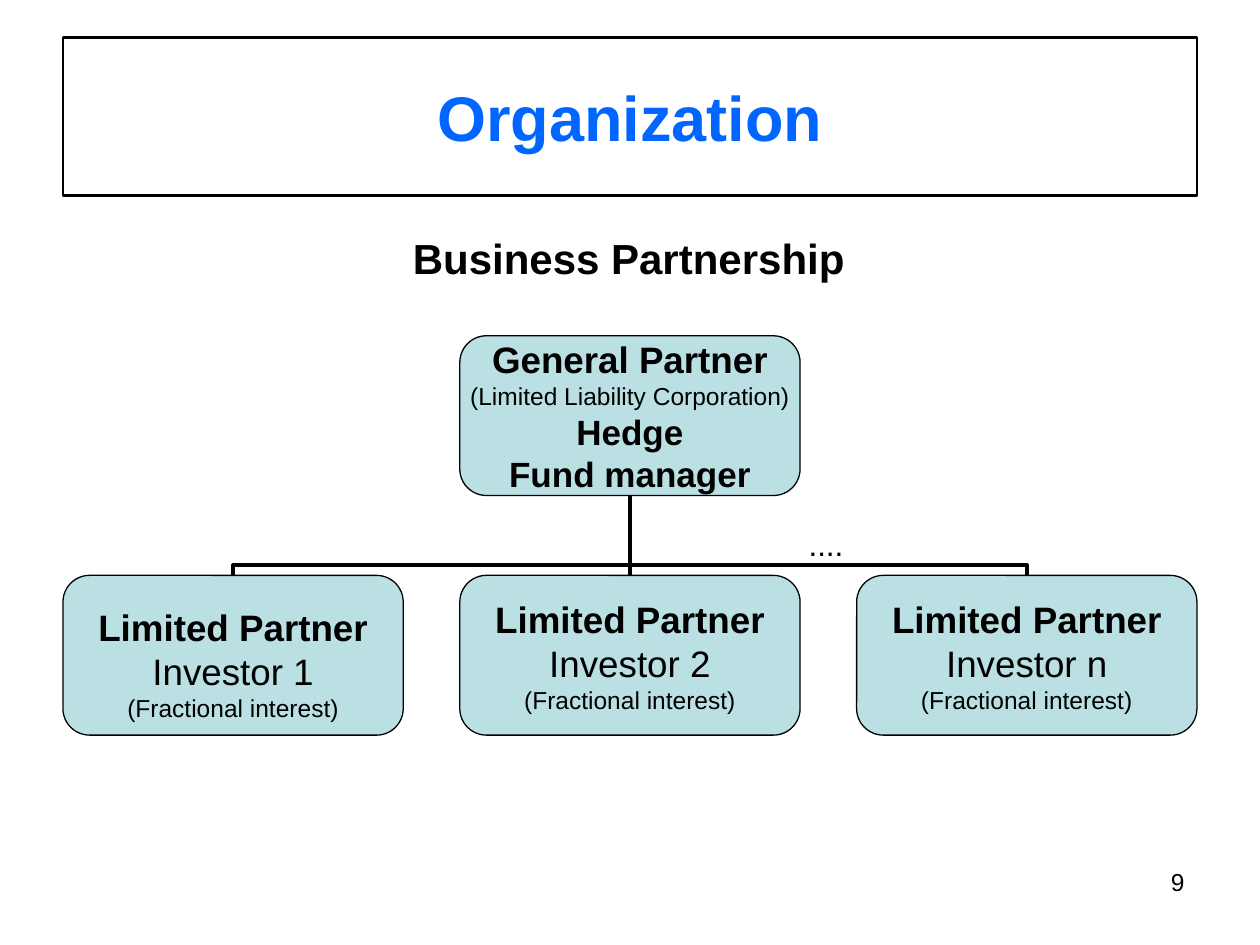
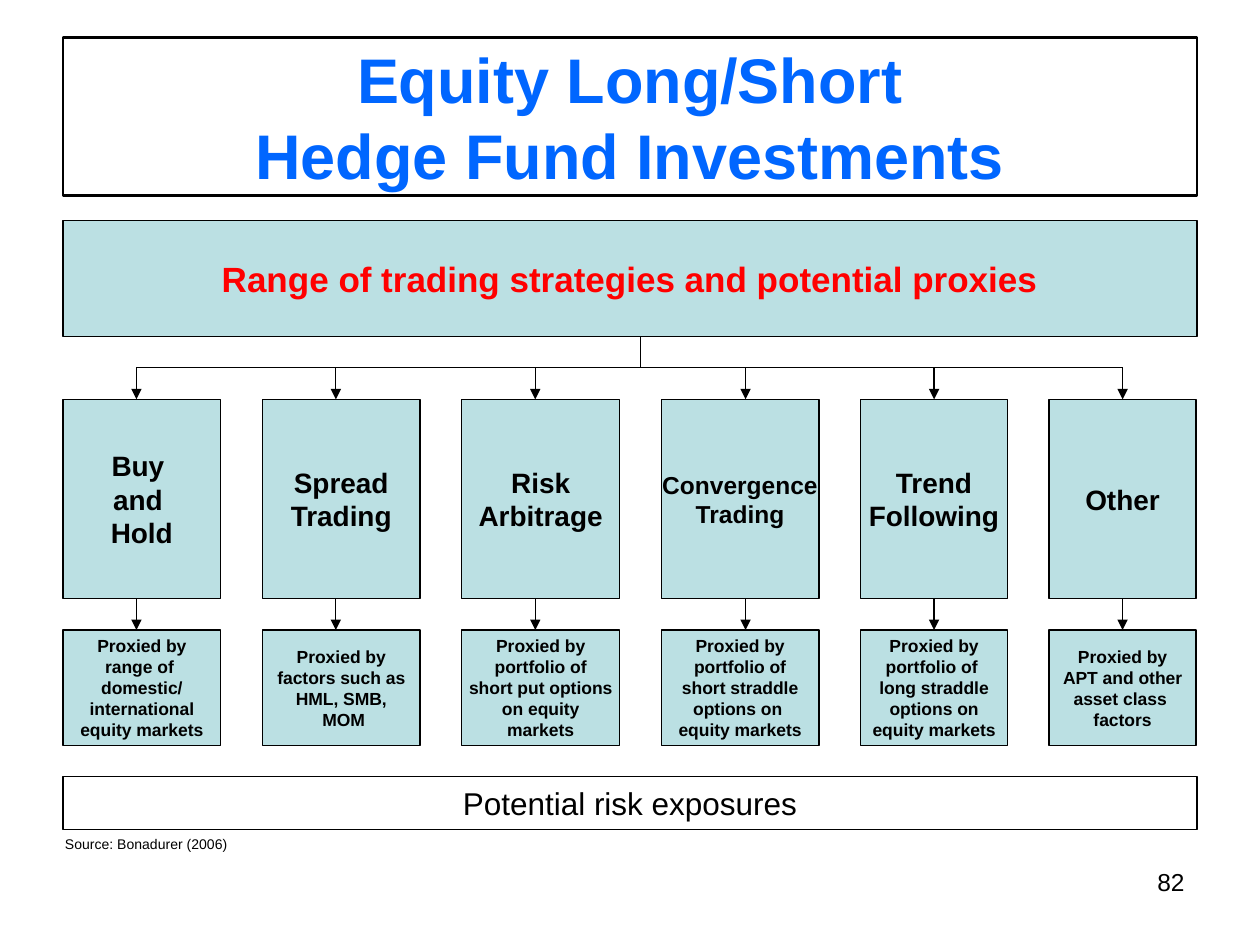
from lxml.etree import SubElement
from pptx import Presentation
from pptx.dml.color import RGBColor
from pptx.enum.shapes import MSO_CONNECTOR, MSO_SHAPE
from pptx.enum.text import MSO_ANCHOR, PP_ALIGN
from pptx.oxml.ns import qn
from pptx.util import Cm, Pt

COLOURS = {"ink": "000000", "title": "0066FF", "accent": "FF0000",
           "panel": "BBE0E3", "paper": "FFFFFF"}
FONT = "Arial"
MARGIN, CONTENT_WIDTH = 1.27, 22.86


def add_box(page, at, lines, preset=None, fill=None, weight=0.75, colour="ink",
            align=PP_ALIGN.CENTER, wrap=False, inset=(0.25, 0.13)):
    """Add a shape, or a text box if preset is None; lines hold (text, size, bold)."""
    place = [Cm(length) for length in at]
    if preset is None:
        box = page.shapes.add_textbox(*place)
    else:
        box = page.shapes.add_shape(preset, *place)
        box.shadow.inherit = False
        box.line.color.rgb = RGBColor.from_string(COLOURS["ink"])
        box.line.width = Pt(weight)
        if fill:
            box.fill.solid()
            box.fill.fore_color.rgb = RGBColor.from_string(COLOURS[fill])
        else:
            box.fill.background()
    frame = box.text_frame
    frame.word_wrap = wrap
    frame.vertical_anchor = MSO_ANCHOR.TOP if preset is None else MSO_ANCHOR.MIDDLE
    frame.margin_left = frame.margin_right = Cm(inset[0])
    frame.margin_top = frame.margin_bottom = Cm(inset[1])
    for index, (text, size, bold) in enumerate(lines):
        para = frame.add_paragraph() if index else frame.paragraphs[0]
        para.alignment = align
        for part, piece in enumerate(text.split("\n")):
            if part:
                para.add_line_break()
            span = para.add_run()
            span.text = piece
            span.font.name = FONT
            span.font.size = Pt(size)
            span.font.bold = bold
            span.font.color.rgb = RGBColor.from_string(COLOURS[colour])
    return box


def add_line(page, start, end, weight=0.75, kind=MSO_CONNECTOR.STRAIGHT, arrow=False):
    line = page.shapes.add_connector(kind, *[Cm(length) for length in (*start, *end)])
    line.line.color.rgb = RGBColor.from_string(COLOURS["ink"])
    line.line.width = Pt(weight)
    if arrow:
        SubElement(line.line._get_or_add_ln(), qn("a:tailEnd"), type="triangle")
    SubElement(line._element.spPr, qn("a:effectLst"))
    return line


deck = Presentation()
deck.slide_width, deck.slide_height = Cm(25.4), Cm(19.05)

# Shared title frame and page number
pages = []
for title, number in [("Organization", "9"),
                      ("Equity Long/Short\nHedge Fund Investments", "82")]:
    page = deck.slides.add_slide(deck.slide_layouts[6])
    add_box(page, (18.21, 17.35, 5.92, 1.32), [(number, 14, False)],
            align=PP_ALIGN.RIGHT, wrap=True)
    add_box(page, (MARGIN, 0.76, CONTENT_WIDTH, 3.18), [(title, 36, True)],
            MSO_SHAPE.RECTANGLE, weight=1.5, colour="title", wrap=True)
    pages.append(page)
organization, strategies = pages

# Organization: general partner above three limited partners
CARD_WIDTH, CARD_HEIGHT = 6.86, 3.22
GENERAL_TOP, LIMITED_TOP = 6.77, 11.6
general_bottom = GENERAL_TOP + CARD_HEIGHT
drop = LIMITED_TOP - general_bottom
middle = MARGIN + CONTENT_WIDTH / 2
pitch = (CONTENT_WIDTH - CARD_WIDTH) / 2

add_box(organization, (6.73, 4.55, 11.89, 1.27), [("Business Partnership", 24, True)],
        wrap=True)
general = add_box(
    organization, (middle - CARD_WIDTH / 2, GENERAL_TOP, CARD_WIDTH, CARD_HEIGHT),
    [("General Partner", 21, True), ("(Limited Liability Corporation)", 14, False),
     ("Hedge", 20, True), ("Fund manager", 20, True)],
    MSO_SHAPE.ROUNDED_RECTANGLE, "panel", inset=(0, 0))

for column, investor in enumerate(["1", "2", "n"]):
    left = MARGIN + column * pitch
    limited = add_box(
        organization, (left, LIMITED_TOP, CARD_WIDTH, CARD_HEIGHT),
        [("Limited Partner", 21, True), (f"Investor {investor}", 21, False),
         ("(Fractional interest)", 14, False)],
        MSO_SHAPE.ROUNDED_RECTANGLE, "panel", inset=(0, 0))
    if column == 0:
        limited.text_frame.margin_top = Cm(0.32)
    centre = left + CARD_WIDTH / 2
    kind = MSO_CONNECTOR.STRAIGHT if column == 1 else MSO_CONNECTOR.ELBOW
    link = add_line(organization, (centre, LIMITED_TOP), (middle, general_bottom),
                    2.25, kind)
    link.begin_connect(limited, 0)
    link.end_connect(general, 2)
    if column == 1:
        continue
    # Turn the elbow so that it leaves each card vertically
    link.left = Cm((centre + middle - drop) / 2)
    link.top = Cm((LIMITED_TOP + general_bottom - pitch) / 2)
    link.width, link.height = Cm(drop), Cm(pitch)
    frame = link._element.spPr.find(qn("a:xfrm"))
    frame.set("rot", "5400000" if column == 0 else "16200000")
    frame.set("flipH", "1" if column == 0 else "0")
    frame.set("flipV", "1")
    guides = link._element.spPr.find(qn("a:prstGeom")).find(qn("a:avLst"))
    SubElement(guides, qn("a:gd"), name="adj1", fmla="val 12700")

add_box(organization, (16.05, 10.46, 1.22, 1.02), [("....", 18, False)],
        align=PP_ALIGN.LEFT)

# Strategies: banner, six strategies with their proxies, exposures bar
BANNER_TOP, BANNER_HEIGHT = 4.45, 2.33
STRATEGY_TOP, STRATEGY_HEIGHT = 8.05, 4.02
PROXY_TOP, PROXY_HEIGHT = 12.7, 2.33
BUS_TOP, COLUMN_GAP, TRUNK = 7.41, 0.84, 12.91

add_box(strategies, (MARGIN, BANNER_TOP, CONTENT_WIDTH, BANNER_HEIGHT),
        [("Range of trading strategies and potential proxies", 20, True)],
        MSO_SHAPE.RECTANGLE, "panel", colour="accent")

# Width, arrow offset, heading size, heading lines, proxy lines
columns = [
    (3.18, 1.48, 16, ["Buy ", "and ", "Hold"],
     ["range of ", "domestic/", "international", "equity markets"]),
    (3.18, 1.48, 16, ["Spread", "Trading"],
     ["factors such as", "HML, SMB,", " MOM"]),
    (3.18, 1.48, 16, ["Risk", "Arbitrage"],
     ["portfolio of", "short put options", "on equity", "markets"]),
    (3.18, 1.7, 14, ["Convergence", "Trading"],
     ["portfolio of", "short straddle", "options on ", "equity markets"]),
    (2.96, 1.48, 16, ["Trend", "Following"],
     ["portfolio of ", "long straddle", "options on", "equity markets"]),
    (2.96, 1.48, 16, ["Other"],
     ["APT and other", "asset class ", "factors"]),
]
left = MARGIN
arrow_places = []
for width, offset, size, heading, proxy in columns:
    add_box(strategies, (left, STRATEGY_TOP, width, STRATEGY_HEIGHT),
            [(text, size, True) for text in heading], MSO_SHAPE.RECTANGLE, "panel")
    add_box(strategies, (left, PROXY_TOP, width, PROXY_HEIGHT),
            [(text, 10, True) for text in ["Proxied by", *proxy]],
            MSO_SHAPE.RECTANGLE, "panel")
    arrow_places.append(left + offset)
    left += width + COLUMN_GAP

# Tree lines and arrows
add_line(strategies, (TRUNK, BANNER_TOP + BANNER_HEIGHT), (TRUNK, BUS_TOP))
for end in (arrow_places[0], arrow_places[-1]):
    add_line(strategies, (TRUNK, BUS_TOP), (end, BUS_TOP))
for place in arrow_places:
    for top, bottom in [(BUS_TOP, STRATEGY_TOP),
                        (STRATEGY_TOP + STRATEGY_HEIGHT, PROXY_TOP)]:
        add_line(strategies, (place, top), (place, bottom), arrow=True)

# Exposures bar and source
add_box(strategies, (MARGIN, 15.66, CONTENT_WIDTH, 1.06),
        [("Potential risk exposures", 18, False)], MSO_SHAPE.RECTANGLE, "paper")
add_box(strategies, (1.06, 16.72, 4.17, 0.61), [("Source: Bonadurer (2006)", 8, False)],
        align=PP_ALIGN.LEFT, wrap=True)

deck.save("out.pptx")
